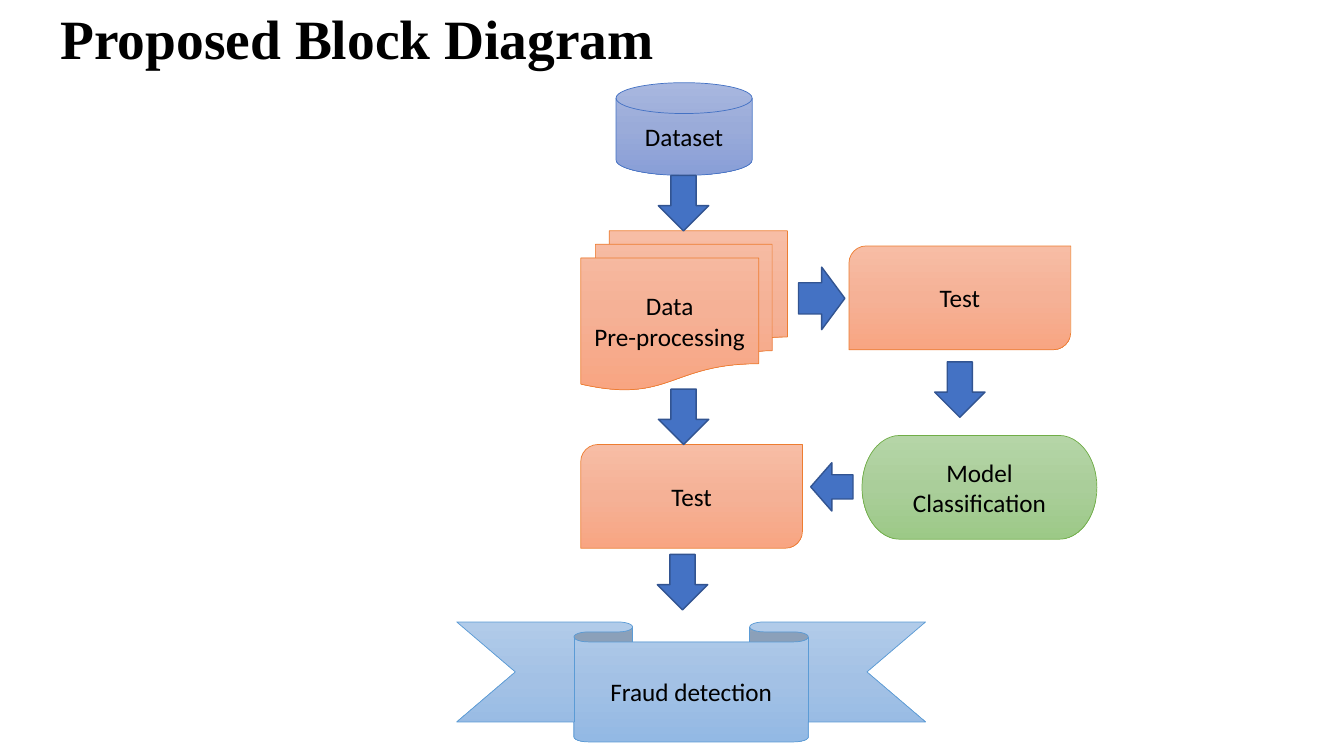
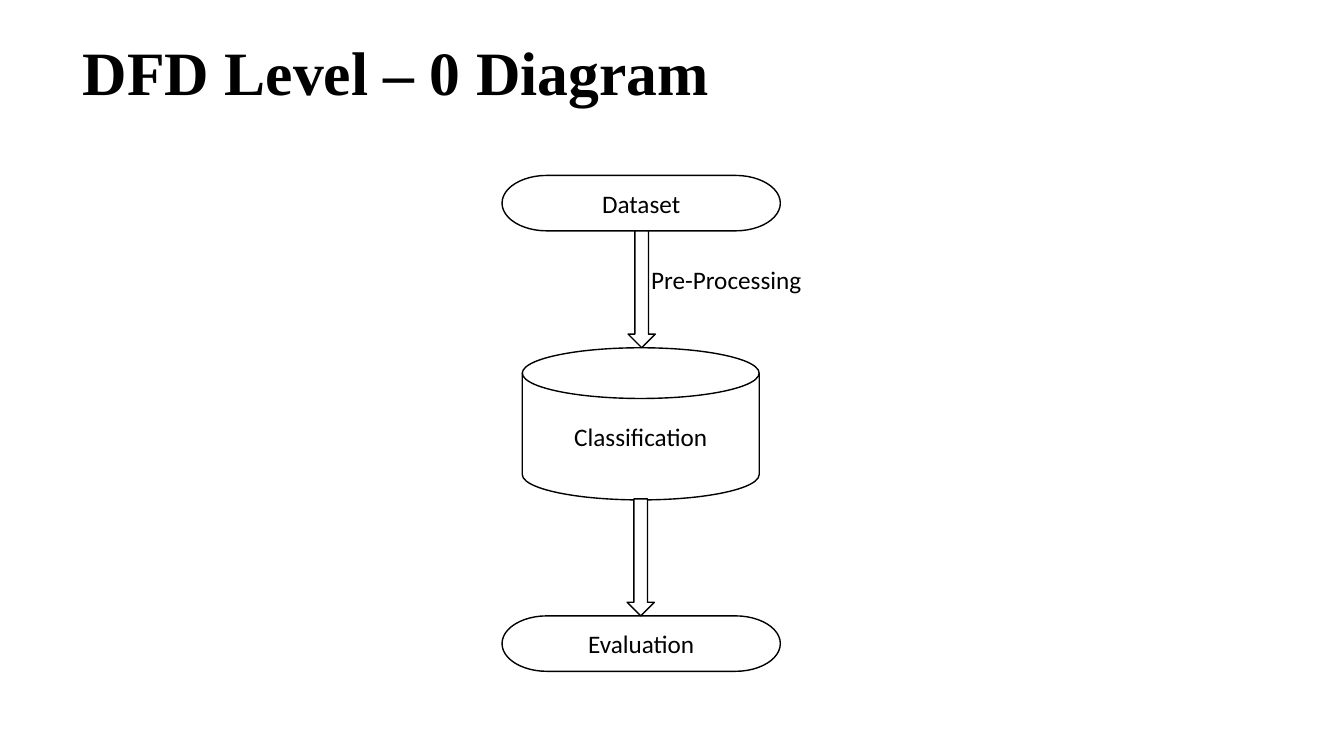
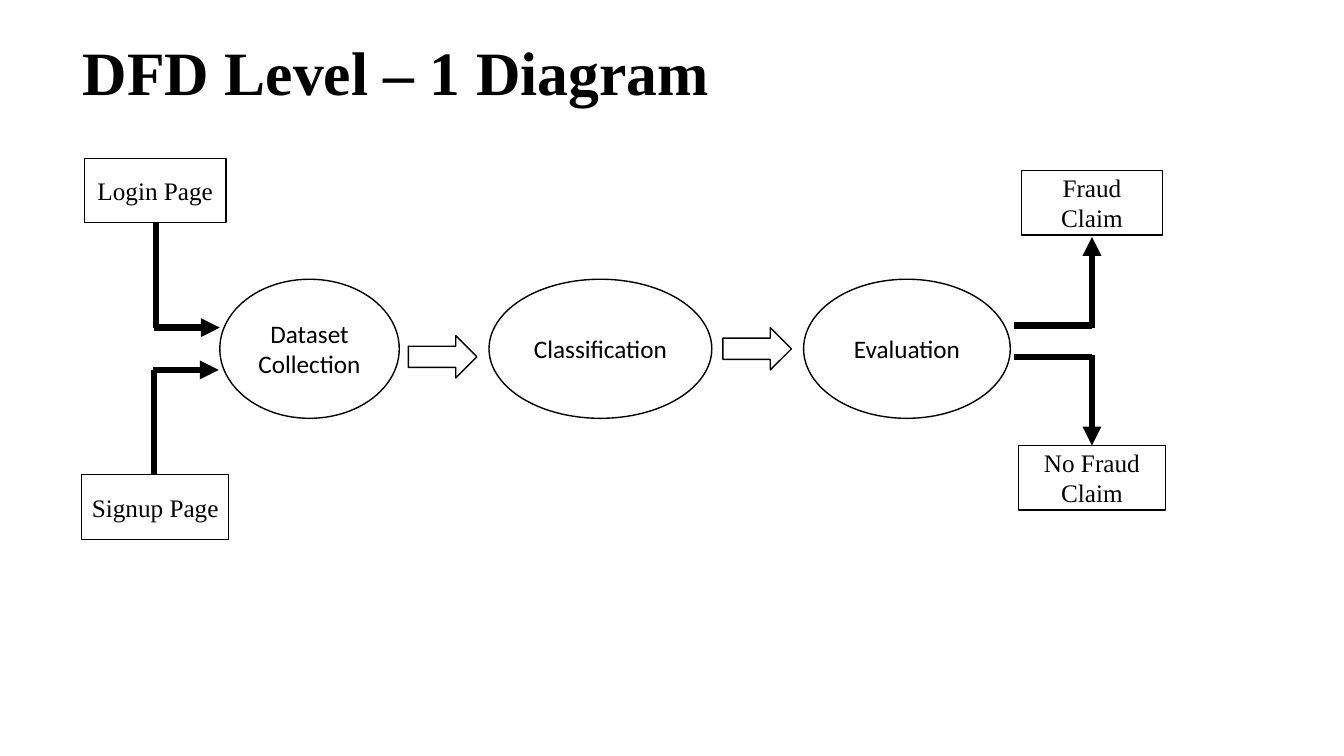
"""Build three slides of block and data flow diagrams for fraud detection."""
from copy import deepcopy
from dataclasses import dataclass

from lxml.etree import SubElement
from pptx import Presentation
from pptx.dml.color import RGBColor
from pptx.enum.shapes import MSO_CONNECTOR, MSO_SHAPE
from pptx.enum.text import MSO_ANCHOR, MSO_AUTO_SIZE, PP_ALIGN
from pptx.oxml.ns import qn
from pptx.util import Inches, Pt

SANS, SERIF = "Calibri", "Times New Roman"
COLORS = {
    "black": "000000", "white": "FFFFFF",
    "arrow": "4472C4", "edge": "325491",
    "blue": "4472C4", "blue1": "A8B7DF", "blue2": "9AABD9", "blue3": "889ED7",
    "orange": "ED7D31", "orange1": "F7BDA5", "orange2": "F5B196", "orange3": "F8A582",
    "green": "70AD47", "green1": "B5D5A7", "green2": "AACE9A", "green3": "9CC987",
    "sky": "5B9BD5", "sky1": "B1CBE9", "sky2": "A3C1E5", "sky3": "93B9E4",
}


@dataclass(frozen=True)
class Look:
    fills: tuple
    line: str
    weight: float


@dataclass(frozen=True)
class Node:
    kind: MSO_SHAPE
    left: float
    top: float
    width: float
    height: float
    look: Look
    text: str = ""
    face: str = SANS


@dataclass(frozen=True)
class Link:
    start: tuple
    end: tuple
    head: bool = False


def shade(name: str) -> Look:
    return Look(tuple(f"{name}{step}" for step in (1, 2, 3)), name, 0.5)


BLUE, ORANGE, GREEN, SKY = map(shade, ("blue", "orange", "green", "sky"))
SOLID = Look(("arrow",), "edge", 1)
PLAIN = Look(("white",), "black", 1)


def color(name: str) -> RGBColor:
    return RGBColor.from_string(COLORS[name])


def style(para, face: str, size: float, bold: bool = False) -> None:
    font = para.font
    font.name, font.size, font.bold = face, Pt(size), bold
    font.color.rgb = color("black")


def paint(shape, fills: tuple) -> None:
    fill = shape.fill
    if len(fills) == 1:
        fill.solid()
        fill.fore_color.rgb = color(fills[0])
        return
    fill.gradient()
    fill.gradient_angle = 270
    first = shape.element.spPr.find(qn("a:gradFill")).find(qn("a:gsLst"))[0]
    first.addnext(deepcopy(first))
    for stop, name, place in zip(fill.gradient_stops, fills, (0, 0.5, 1)):
        stop.color.rgb = color(name)
        stop.position = place


def draw_node(slide, node: Node) -> None:
    shape = slide.shapes.add_shape(
        node.kind, Inches(node.left), Inches(node.top),
        Inches(node.width), Inches(node.height))
    shape.shadow.inherit = False
    paint(shape, node.look.fills)
    shape.line.color.rgb = color(node.look.line)
    shape.line.width = Pt(node.look.weight)
    if node.text:
        frame = shape.text_frame
        frame.text = node.text
        frame.word_wrap = True
        frame.vertical_anchor = MSO_ANCHOR.MIDDLE
        for para in frame.paragraphs:
            para.alignment = PP_ALIGN.CENTER
            style(para, node.face, 18)


def draw_link(slide, link: Link) -> None:
    wire = slide.shapes.add_connector(
        MSO_CONNECTOR.STRAIGHT, *map(Inches, link.start + link.end))
    wire.line.color.rgb = color("black")
    wire.line.width = Pt(4.5)
    props = wire.element.spPr
    if link.head:
        SubElement(props.find(qn("a:ln")), qn("a:tailEnd"), type="triangle")
    SubElement(props, qn("a:effectLst"))


def draw_label(slide, text: str, left: float, top: float,
               width: float, height: float) -> None:
    box = slide.shapes.add_textbox(*map(Inches, (left, top, width, height)))
    box.text_frame.word_wrap = True
    box.text_frame.text = text
    style(box.text_frame.paragraphs[0], SANS, 18)


def add_slide(deck, text: str, nodes: list, links: tuple = (),
              place: tuple = (0.72, 0.36, 10.51, 0.77), size: float = 44):
    slide = deck.slides.add_slide(deck.slide_layouts[5])
    title = slide.shapes.title
    title.left, title.top, title.width, title.height = map(Inches, place)
    frame = title.text_frame
    frame.text = text
    frame.word_wrap = True
    frame.auto_size = MSO_AUTO_SIZE.NONE
    frame.vertical_anchor = MSO_ANCHOR.MIDDLE
    para = frame.paragraphs[0]
    para.alignment = PP_ALIGN.LEFT
    para.line_spacing = 0.9
    style(para, SERIF, size, True)
    for node in nodes:
        draw_node(slide, node)
    for link in links:
        draw_link(slide, link)
    return slide


def block_slide(deck) -> None:
    downs = ((6.53, 1.74), (6.53, 3.86), (6.52, 5.5), (9.27, 3.59))
    tests = ((5.76, 4.41), (8.42, 2.44))
    nodes = [
        Node(MSO_SHAPE.FLOWCHART_MAGNETIC_DISK, 6.11, 0.82, 1.35, 0.92, BLUE, "Dataset"),
        Node(MSO_SHAPE.FLOWCHART_MULTIDOCUMENT, 5.76, 2.29, 2.05, 1.58, ORANGE,
             "Data\nPre-processing"),
        Node(MSO_SHAPE.FLOWCHART_TERMINATOR, 8.55, 4.32, 2.33, 1.03, GREEN,
             "Model Classification"),
        *(Node(MSO_SHAPE.ROUND_2_DIAG_RECTANGLE, left, top, 2.2, 1.03, ORANGE, "Test")
          for left, top in tests),
        *(Node(MSO_SHAPE.DOWN_ARROW, left, top, 0.5, 0.55, SOLID) for left, top in downs),
        Node(MSO_SHAPE.RIGHT_ARROW, 7.92, 2.65, 0.46, 0.62, SOLID),
        Node(MSO_SHAPE.LEFT_ARROW, 8.04, 4.59, 0.42, 0.48, SOLID),
        Node(MSO_SHAPE.DOWN_RIBBON, 4.53, 6.17, 4.65, 1.19, SKY, "Fraud detection"),
    ]
    add_slide(deck, "Proposed Block Diagram", nodes,
              place=(0.5, 0.1, 7.12, 0.62), size=39.6)


def level_zero(deck) -> None:
    ends = (("Dataset", 1.74), ("Evaluation", 6.11))
    downs = ((6.23, 2.29), (6.22, 4.95))
    nodes = [
        Node(MSO_SHAPE.FLOWCHART_MAGNETIC_DISK, 5.18, 3.45, 2.35, 1.51, PLAIN,
             "Classification"),
        *(Node(MSO_SHAPE.FLOWCHART_TERMINATOR, 4.98, top, 2.76, 0.55, PLAIN, text)
          for text, top in ends),
        *(Node(MSO_SHAPE.DOWN_ARROW, left, top, 0.27, 1.16, PLAIN) for left, top in downs),
    ]
    slide = add_slide(deck, "DFD Level – 0 Diagram", nodes)
    draw_label(slide, "Pre-Processing", 6.36, 2.57, 1.79, 0.4)


def level_one(deck) -> None:
    steps = (("Dataset Collection", 2.18, 1.78), ("Classification", 4.85, 2.21),
             ("Evaluation", 7.97, 2.05))
    pages = (("Login Page", 0.84, 1.57, 1.4), ("Signup Page", 0.81, 4.71, 1.46),
             ("Fraud Claim", 10.13, 1.69, 1.4), ("No Fraud Claim", 10.1, 4.42, 1.46))
    nodes = [
        *(Node(MSO_SHAPE.FLOWCHART_CONNECTOR, left, 2.77, width, 1.38, PLAIN, text)
          for text, left, width in steps),
        *(Node(MSO_SHAPE.RIGHT_ARROW, left, top, 0.68, 0.42, PLAIN)
          for left, top in ((4.05, 3.33), (7.17, 3.25))),
        *(Node(MSO_SHAPE.FLOWCHART_PROCESS, left, top, width, 0.64, PLAIN, text, SERIF)
          for text, left, top, width in pages),
    ]
    links = (
        Link((1.55, 2.21), (1.55, 3.25)),
        Link((1.53, 3.25), (2.18, 3.25), True),
        Link((1.53, 4.71), (1.53, 3.67)),
        Link((1.52, 3.67), (2.17, 3.67), True),
        Link((10.83, 3.54), (10.06, 3.54)),
        Link((10.83, 3.52), (10.83, 4.42), True),
        Link((10.83, 3.23), (10.06, 3.23)),
        Link((10.83, 3.25), (10.83, 2.35), True),
    )
    add_slide(deck, "DFD Level – 1 Diagram", nodes, links)


def main() -> None:
    deck = Presentation()
    deck.slide_width, deck.slide_height = Inches(13.33), Inches(7.5)
    block_slide(deck)
    level_zero(deck)
    level_one(deck)
    deck.save("out.pptx")


if __name__ == "__main__":
    main()
